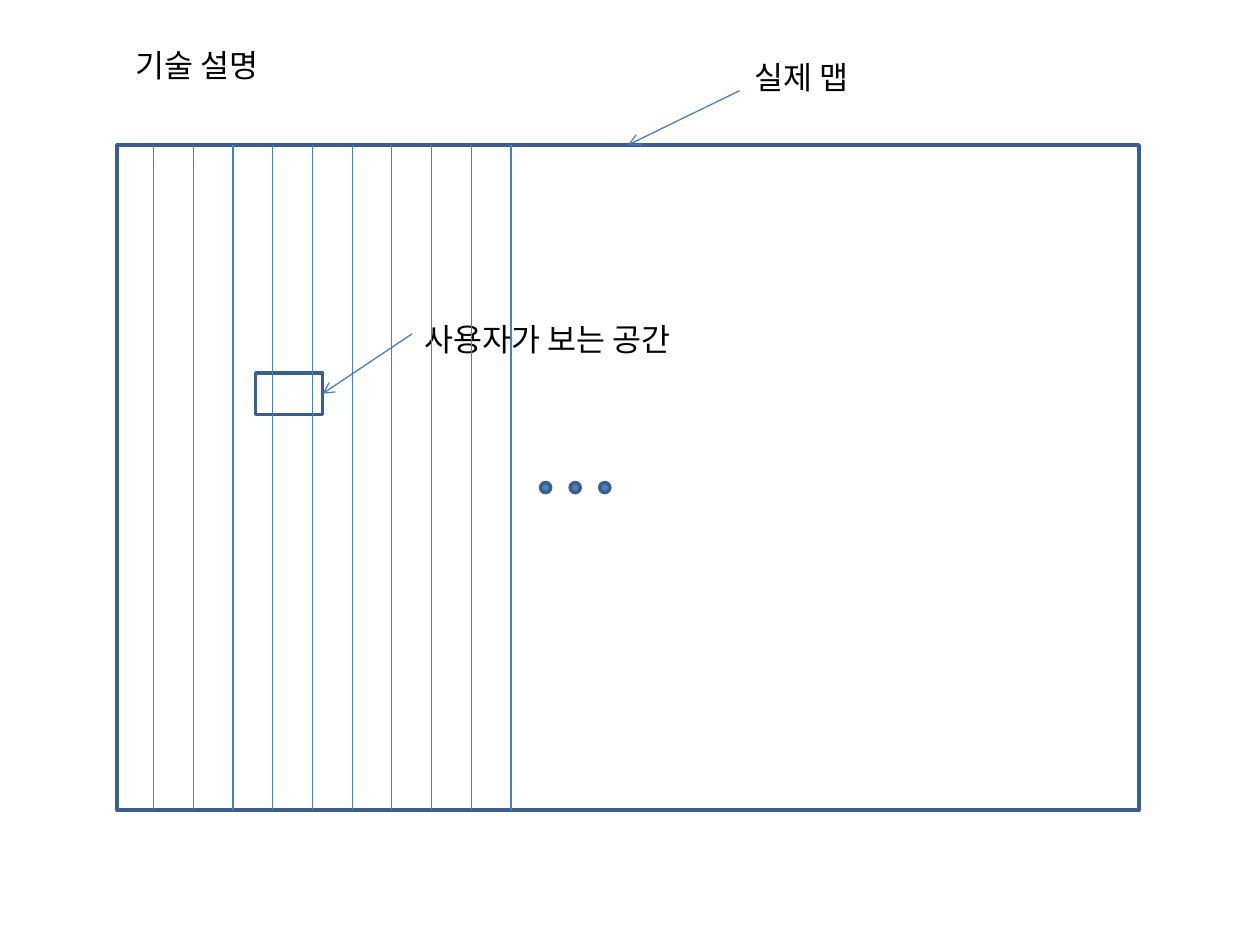
import pptx
import pptx.dml.color
import pptx.enum.shapes
import pptx.enum.text
import pptx.oxml.ns
import pptx.util
from collections import namedtuple
from dataclasses import dataclass
from lxml import etree

Box = namedtuple("Box", "x y w h")
Shape = pptx.enum.shapes.MSO_SHAPE
WIDTH, HEIGHT = pptx.util.Inches(10), pptx.util.Inches(7.5)
CELL = WIDTH / 100  # square grid: 100 columns by 75 rows
TOP, RIGHT = 0, 3


@dataclass(frozen=True)
class Theme:
    font: str = "Noto Sans CJK KR"
    size: float = 18
    ink: str = "000000"
    edge: str = "3A5F8C"
    fill: str = "4F81BD"
    rule: str = "4B7EBC"
    thick: float = 2
    thin: float = 0.75


THEME = Theme()


def grid(*cells):
    return [round(n * CELL) for n in cells]


def within(box, x, y, w, h):
    """Give a box placed from the top left corner of another box."""
    return Box(box.x + x, box.y + y, w, h)


def color(code):
    return pptx.dml.color.RGBColor.from_string(code)


def add_node(parent, tag, **attrs):
    return etree.SubElement(parent, pptx.oxml.ns.qn(tag), **attrs)


def add_text(slide, box, words):
    frame = slide.shapes.add_textbox(*grid(*box)).text_frame
    frame.word_wrap = False
    frame.auto_size = pptx.enum.text.MSO_AUTO_SIZE.SHAPE_TO_FIT_TEXT
    run = frame.paragraphs[0].add_run()
    run.text = words
    run.font.size = pptx.util.Pt(THEME.size)
    run.font.color.rgb = color(THEME.ink)
    run.font.name = THEME.font
    add_node(run.font._element, "a:ea", typeface=THEME.font)


def add_form(slide, kind, box, fill=None):
    form = slide.shapes.add_shape(kind, *grid(*box))
    form.shadow.inherit = False
    if fill:
        form.fill.solid()
        form.fill.fore_color.rgb = color(fill)
    else:
        form.fill.background()
    form.line.color.rgb = color(THEME.edge)
    form.line.width = pptx.util.Pt(THEME.thick)
    return form


def add_line(slide, start, end):
    line = slide.shapes.add_connector(
        pptx.enum.shapes.MSO_CONNECTOR.STRAIGHT, *grid(*start, *end))
    line.line.color.rgb = color(THEME.rule)
    line.line.width = pptx.util.Pt(THEME.thin)
    add_node(line._element.spPr, "a:effectLst")
    return line


def add_arrow(slide, start, target, side):
    """Point an arrow at the middle of one side of the target."""
    arrow = add_line(slide, start, start)
    arrow.end_connect(target, side)
    add_node(arrow.line._get_or_add_ln(), "a:tailEnd", type="arrow")


def draw_view(slide, box):
    return add_form(slide, Shape.RECTANGLE, box)


def draw_strips(slide, box, count=10, first=2.9, step=3.15):
    for i in range(count):
        x = box.x + first + i * step
        add_line(slide, (x, box.y), (x, box.y + box.h))


def draw_dots(slide, box, count=3):
    """Spread round dots, as tall as the box, evenly across it."""
    step = (box.w - box.h) / (count - 1)
    for i in range(count):
        dot = within(box, i * step, 0, box.h, box.h)
        add_form(slide, Shape.OVAL, dot, THEME.fill)


def draw_map(slide, box):
    frame = add_form(slide, Shape.RECTANGLE, box)
    view = draw_view(slide, within(box, 11, 18.1, 5.3, 3.3))
    label = within(box, 49.6, -7.4, 10.5, 4)
    add_arrow(slide, (label.x - 0.2, label.y + 3.1), frame, TOP)
    add_text(slide, label, "실제 맵")
    label = within(box, 23.4, 13.4, 24, 4)
    add_arrow(slide, (label.x, label.y + 1.6), view, RIGHT)
    add_text(slide, label, "사용자가 보는 공간")
    draw_strips(slide, box)
    draw_dots(slide, within(box, 33.6, 26.8, 5.5, 0.8))


def main():
    deck = pptx.Presentation()
    deck.slide_width, deck.slide_height = WIDTH, HEIGHT
    slide = deck.slides.add_slide(deck.slide_layouts[6])
    add_text(slide, Box(9.8, 3.2, 13, 4), "기술 설명")
    draw_map(slide, Box(9.3, 11.5, 81.1, 52.8))
    deck.save("out.pptx")


if __name__ == "__main__":
    main()
